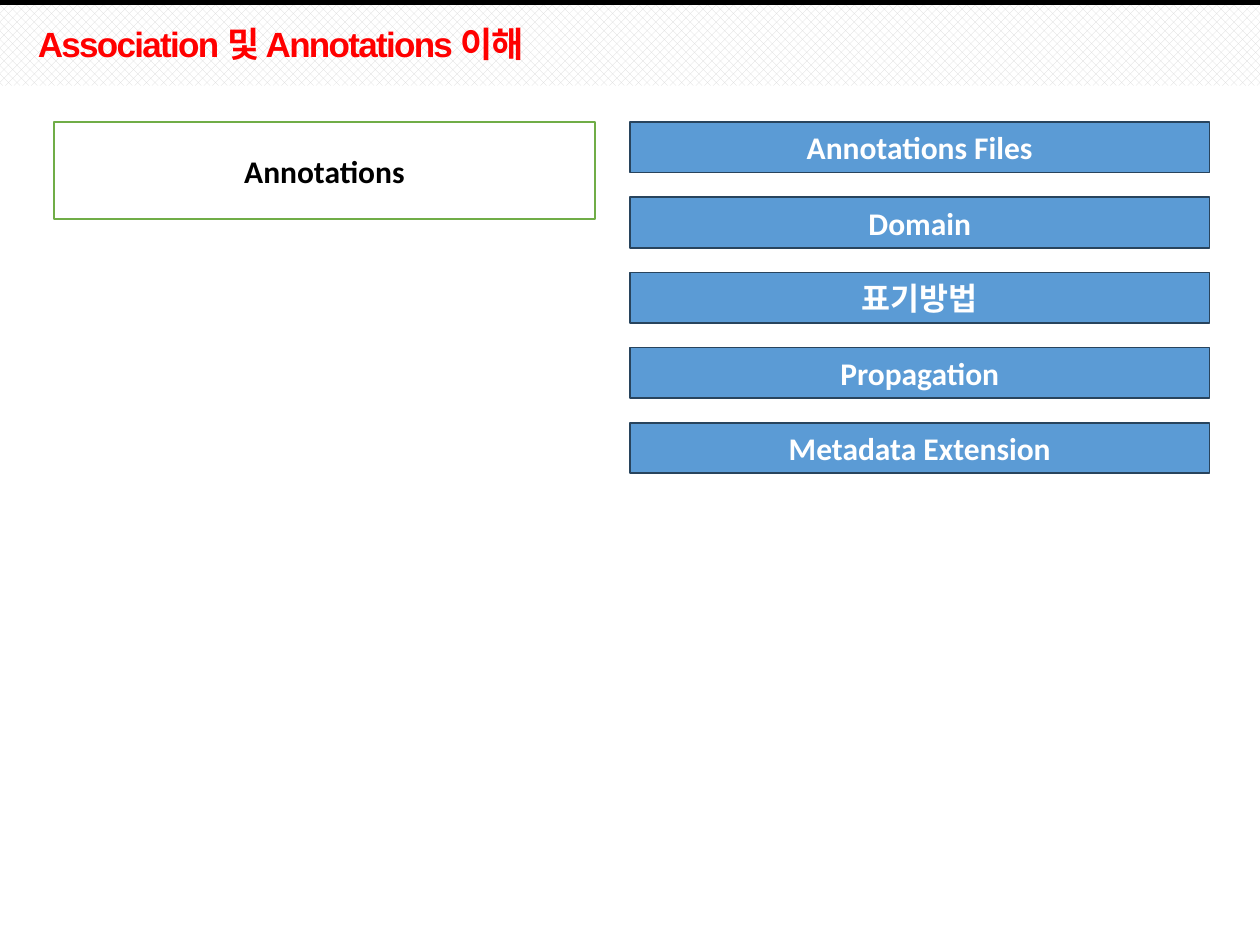
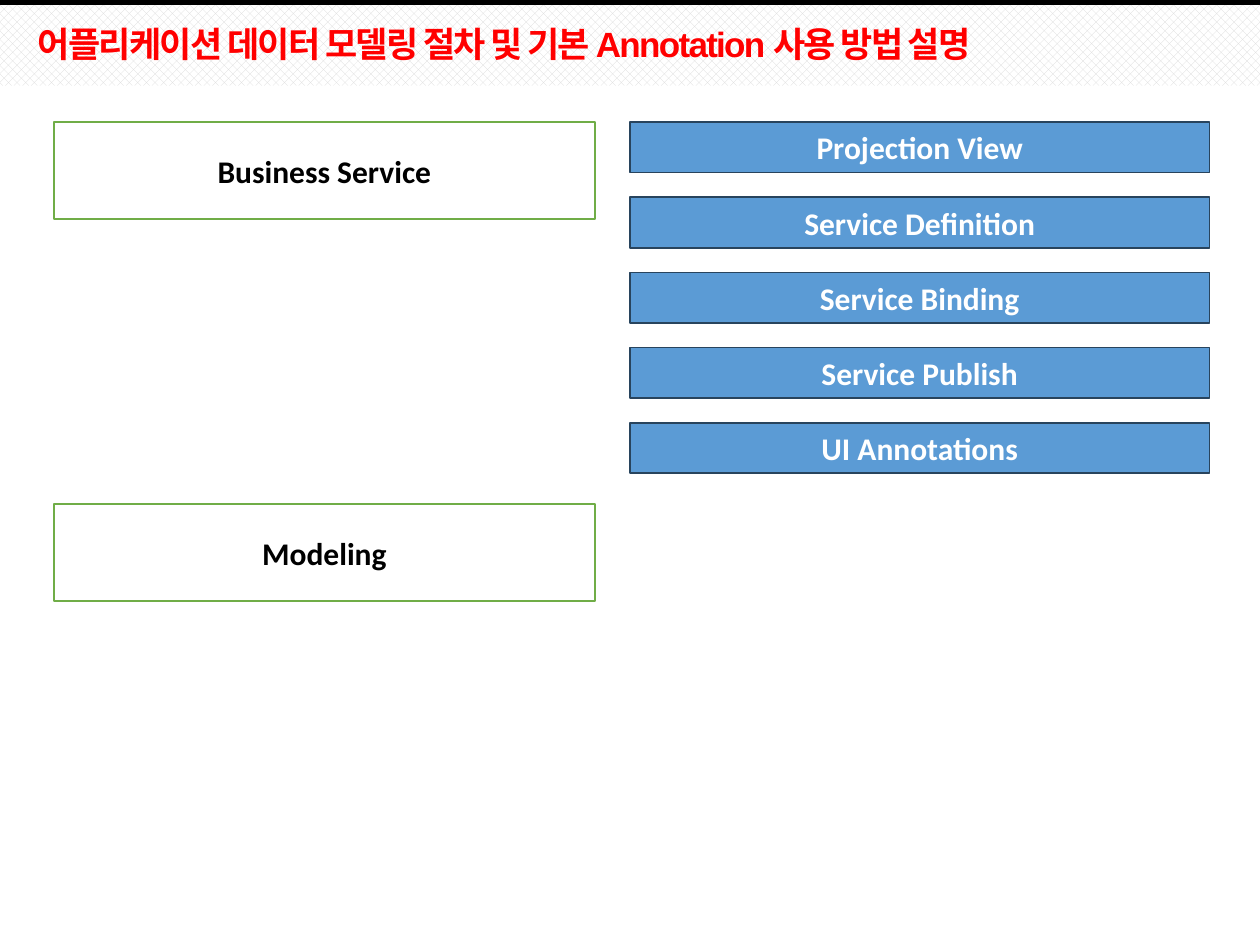
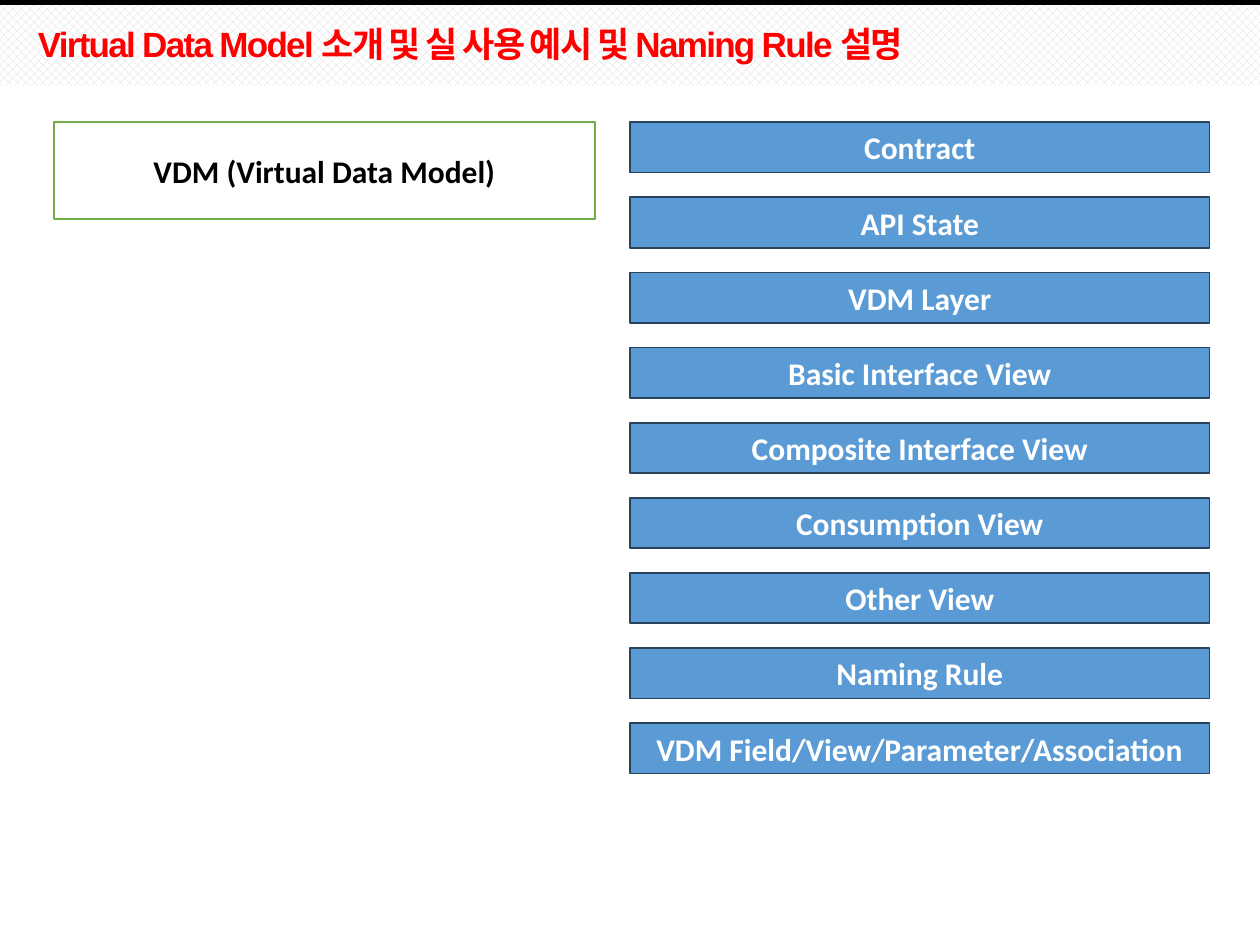
from lxml.etree import SubElement
from pptx import Presentation
from pptx.dml.color import RGBColor
from pptx.enum.dml import MSO_PATTERN
from pptx.enum.shapes import MSO_CONNECTOR, MSO_SHAPE
from pptx.enum.text import MSO_ANCHOR, MSO_AUTO_SIZE, PP_ALIGN
from pptx.oxml.ns import qn
from pptx.util import Inches, Pt

BLACK = RGBColor(0x00, 0x00, 0x00)
WHITE = RGBColor(0xFF, 0xFF, 0xFF)
RED = RGBColor(0xFF, 0x00, 0x00)
GRAY = RGBColor(0xD9, 0xD9, 0xD9)
GREEN = RGBColor(0x70, 0xAD, 0x47)
BLUE = RGBColor(0x5B, 0x9B, 0xD5)
NAVY = RGBColor(0x28, 0x44, 0x5D)

TITLE_FONT = {"name": "Arial", "size": Pt(20), "bold": True}
LABEL_FONT = {"name": "Calibri", "size": Pt(18), "bold": True}
TITLE_PLACE = {"left": Inches(0.2), "top": Inches(0.11),
               "width": Inches(9.4), "height": Inches(0.46)}
TITLE_ONLY_LAYOUT = 5

FIRST_TOP = 0.97
TOPIC_STEP = (5.74 - FIRST_TOP) / 8

# Each slide: title, subjects on the left as (label, top), topics on the right.
SLIDES = [
    ("Association 및 Annotations 이해",
     [("Annotations", FIRST_TOP)],
     ["Annotations Files", "Domain", "표기방법", "Propagation",
      "Metadata Extension"]),
    ("어플리케이션 데이터 모델링 절차 및 기본 Annotation 사용 방법 설명",
     [("Business Service", FIRST_TOP), ("Modeling", 4)],
     ["Projection View", "Service Definition", "Service Binding",
      "Service Publish", "UI Annotations"]),
    ("Virtual Data Model 소개 및 실 사용 예시 및 Naming Rule 설명",
     [("VDM (Virtual Data Model)", FIRST_TOP)],
     ["Contract", "API State", "VDM Layer", "Basic Interface View",
      "Composite Interface View", "Consumption View", "Other View",
      "Naming Rule", "VDM Field/View/Parameter/Association"]),
]


def set_values(target, values):
    for name, value in values.items():
        setattr(target, name, value)


class TopicDeck:
    def __init__(self):
        self.deck = Presentation()
        set_values(self.deck, {"slide_width": Inches(10),
                               "slide_height": Inches(7.5)})
        self.layout = self.deck.slide_layouts[TITLE_ONLY_LAYOUT]
        self.page = None

    def add_page(self, title):
        self.page = self.deck.slides.add_slide(self.layout)
        box = self.page.shapes.title
        set_values(box, TITLE_PLACE)
        set_values(box.text_frame, {"vertical_anchor": MSO_ANCHOR.BOTTOM,
                                    "auto_size": MSO_AUTO_SIZE.NONE,
                                    "word_wrap": True})
        para = box.text_frame.paragraphs[0]
        set_values(para, {"alignment": PP_ALIGN.LEFT, "line_spacing": 0.9})
        self.add_span(para, title, TITLE_FONT, RED)
        box.element.xpath(".//a:rPr")[0].set("spc", "-100")

    def add_span(self, para, text, font, color):
        span = para.add_run()
        span.text = text
        set_values(span.font, font)
        span.font.color.rgb = color

    def add_rectangle(self, left, top, width, height):
        box = self.page.shapes.add_shape(
            MSO_SHAPE.RECTANGLE, Inches(left), Inches(top),
            Inches(width), Inches(height))
        box.shadow.inherit = False
        return box

    def add_header(self):
        """Draw the hatched band and top rule, then move them to the layout."""
        band = self.add_rectangle(0, 0.04, 10, 0.64)
        band.fill.patterned()
        band.fill.pattern = MSO_PATTERN.PERCENT_50
        band.fill.fore_color.rgb = GRAY
        band.fill.back_color.rgb = WHITE
        band.line.fill.background()

        rule = self.page.shapes.add_connector(
            MSO_CONNECTOR.STRAIGHT, 0, Inches(0.02), Inches(10), Inches(0.02))
        rule.line.color.rgb = BLACK
        rule.line.width = Pt(3)
        SubElement(rule.element.spPr, qn("a:effectLst"))

        for number, shape in enumerate((band, rule), start=101):
            shape.element.xpath(".//p:cNvPr")[0].set("id", str(number))
            self.layout.shapes.element.append(shape.element)

    def add_label(self, text, place, fill, line, color):
        box = self.add_rectangle(*place)
        box.fill.solid()
        box.fill.fore_color.rgb = fill
        box.line.color.rgb = line
        box.line.width = Pt(1)
        set_values(box.text_frame, {"vertical_anchor": MSO_ANCHOR.MIDDLE,
                                    "word_wrap": True})
        para = box.text_frame.paragraphs[0]
        para.alignment = PP_ALIGN.CENTER
        self.add_span(para, text, LABEL_FONT, color)

    def add_subject(self, text, top):
        self.add_label(text, (0.43, top, 4.29, 0.77), WHITE, GREEN, BLACK)

    def add_topic(self, text, row):
        top = FIRST_TOP + row * TOPIC_STEP
        self.add_label(text, (5, top, 4.6, 0.4), BLUE, NAVY, WHITE)


def main():
    builder = TopicDeck()
    for number, (title, subjects, topics) in enumerate(SLIDES):
        builder.add_page(title)
        if number == 0:
            builder.add_header()
        for text, top in subjects:
            builder.add_subject(text, top)
        for row, text in enumerate(topics):
            builder.add_topic(text, row)
    builder.deck.save("out.pptx")


if __name__ == "__main__":
    main()
